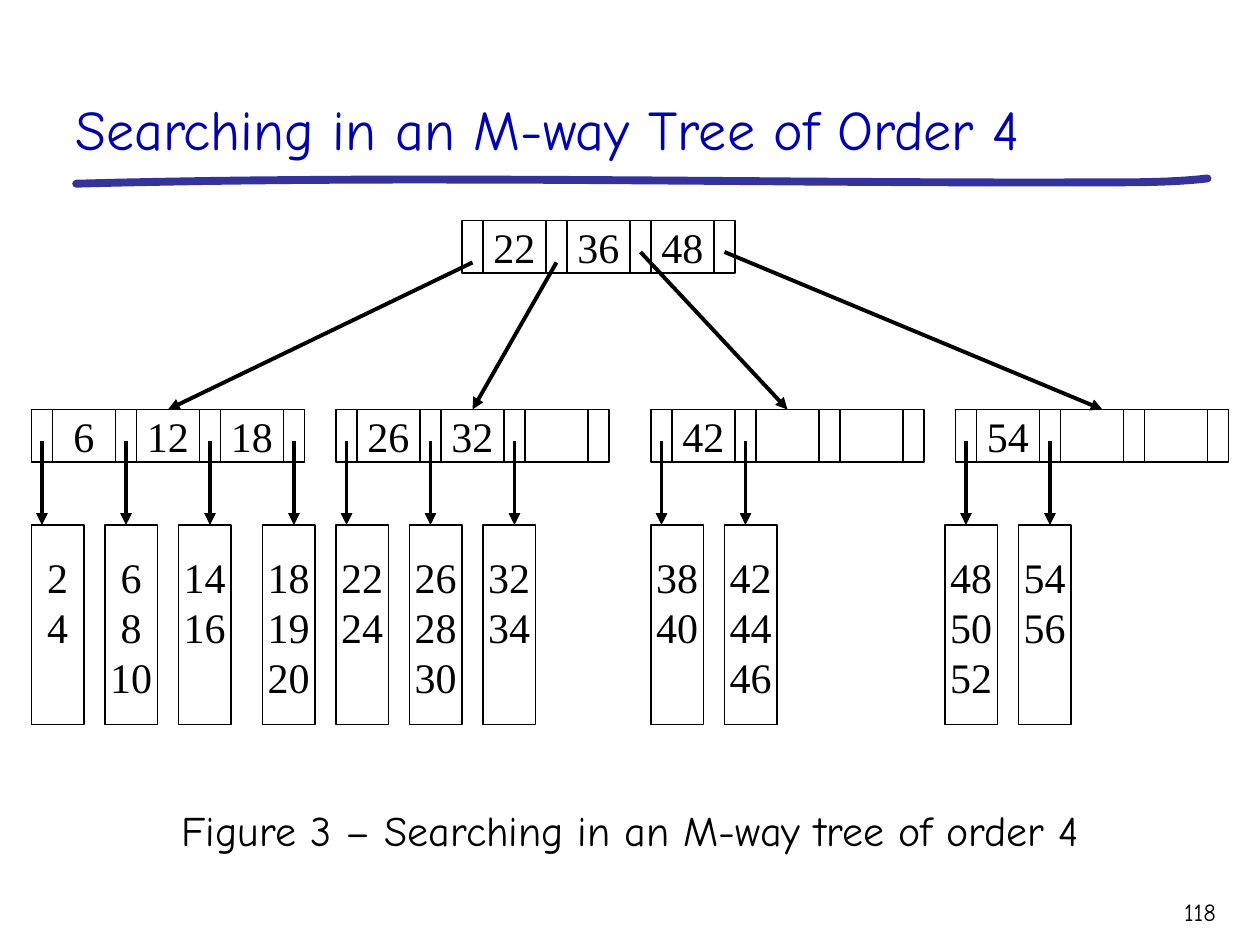
from dataclasses import dataclass

import pptx
import pptx.dml.color
import pptx.enum.shapes
import pptx.enum.text
import pptx.oxml
import pptx.oxml.ns
import pptx.util

PX = 9525  # 96 px to the inch
SLIDE_W, SLIDE_H = 960, 720

KEY_W, POINTER_W, NODE_H = 48, 16, 40
PITCH = KEY_W + POINTER_W
KEYS_PER_NODE = 3
LEAF_W, LEAF_H, LEAF_TOP_INSET = 40, 152, 20
ROOT_LEFT, ROOT_TOP = 352, 168
NODE_TOP, LEAF_TOP = 312, 400

ALIGN = pptx.enum.text.PP_ALIGN
ANCHOR = pptx.enum.text.MSO_ANCHOR


def rgb(code):
    return pptx.dml.color.RGBColor.from_string(code)


@dataclass(frozen=True)
class Theme:
    title_color = rgb("0000AA")
    rule_color = rgb("333399")
    ink = rgb("000000")
    heading_font = "Comic Neue"
    number_font = "Times New Roman"
    title_size = 32
    body_size = 24
    page_size = 14
    box_line = 0.75
    arrow_line = 2.25
    rule_line = 4.5


THEME = Theme()

# Left edge, keys, place where the root's arrow lands, and leaves as (left, values)
CHILDREN = [
    (24, ["6", "12", "18"], 104,
     [(0, "2 4"), (56, "6 8 10"), (112, "14 16"), (176, "18 19 20")]),
    (256, ["26", "32"], 104, [(0, "22 24"), (56, "26 28 30"), (112, "32 34")]),
    (496, ["42"], 104, [(0, "38 40"), (56, "42 44 46")]),
    (728, ["54"], 112, [(-8, "48 50 52"), (48, "54 56")]),
]


def emu(*lengths):
    return [round(length * PX) for length in lengths]


def write(frame, text, font, size, color, align):
    frame.text = text
    for paragraph in frame.paragraphs:
        paragraph.alignment = align
        paragraph.font.size = pptx.util.Pt(size)
        for run in paragraph.runs:
            run.font.name = font
            run.font.size = pptx.util.Pt(size)
            run.font.color.rgb = color


def add_label(slide, box, text, size, color, align, anchor=ANCHOR.TOP):
    frame = slide.shapes.add_textbox(*emu(*box)).text_frame
    frame.word_wrap = True
    frame.vertical_anchor = anchor
    write(frame, text, THEME.heading_font, size, color, align)


def add_box(slide, box, text=""):
    """Outline a cell and return its text frame."""
    cell = slide.shapes.add_shape(
        pptx.enum.shapes.MSO_SHAPE.RECTANGLE, *emu(*box))
    cell.shadow.inherit = False
    cell.fill.background()
    cell.line.color.rgb = THEME.ink
    cell.line.width = pptx.util.Pt(THEME.box_line)
    frame = cell.text_frame
    if text:
        frame.word_wrap = False
        frame.vertical_anchor = ANCHOR.MIDDLE
        write(frame, text, THEME.number_font, THEME.body_size, THEME.ink,
              ALIGN.CENTER)
    return frame


def add_arrow(slide, start, end):
    arrow = slide.shapes.add_connector(
        pptx.enum.shapes.MSO_CONNECTOR.STRAIGHT, *emu(*start, *end))
    arrow.line.color.rgb = THEME.ink
    arrow.line.width = pptx.util.Pt(THEME.arrow_line)
    head = pptx.oxml.parse_xml(
        f'<a:tailEnd {pptx.oxml.ns.nsdecls("a")} type="triangle"/>')
    arrow.line._get_or_add_ln().append(head)
    effects = pptx.oxml.parse_xml(
        f'<a:effectLst {pptx.oxml.ns.nsdecls("a")}/>')
    arrow._element.spPr.append(effects)


def bezier(p0, p1, p2, p3, steps=24):
    """Points along a cubic curve, without its first point."""
    for step in range(1, steps + 1):
        t = step / steps
        u = 1 - t
        yield tuple(
            round(PX * (u**3 * a + 3 * u * u * t * b + 3 * u * t * t * c + t**3 * d))
            for a, b, c, d in zip(p0, p1, p2, p3))


def add_title_rule(slide, left, top):
    """Hand-drawn stroke under the title."""
    def at(x, y):
        return left + x, top + y

    start, joint, end = at(0, 4), at(783, 3), at(862, 0)
    points = [*bezier(start, at(262, -3), at(523, 4), joint),
              *bezier(joint, at(810, 3), at(836, 3), end)]
    builder = slide.shapes.build_freeform(*emu(*start), scale=1.0)
    builder.add_line_segments(points, close=False)
    stroke = builder.convert_to_shape()
    stroke.shadow.inherit = False
    stroke.fill.background()
    stroke.line.color.rgb = THEME.rule_color
    stroke.line.width = pptx.util.Pt(THEME.rule_line)
    outline = stroke.line._get_or_add_ln()
    outline.set("cap", "rnd")
    outline.append(pptx.oxml.parse_xml(
        f'<a:round {pptx.oxml.ns.nsdecls("a")}/>'))


def pointer_center(left, index):
    return left + index * PITCH + POINTER_W // 2


def add_node(slide, left, top, keys):
    """Row of key cells with a pointer cell before, between and after them."""
    for index in range(KEYS_PER_NODE):
        x = left + index * PITCH
        key = keys[index] if index < len(keys) else ""
        add_box(slide, (x + POINTER_W, top, KEY_W, NODE_H), key)
        add_box(slide, (x, top, POINTER_W, NODE_H))
    add_box(slide, (left + KEYS_PER_NODE * PITCH, top, POINTER_W, NODE_H))


def add_leaf(slide, left, top, values):
    frame = add_box(slide, (left, top, LEAF_W, LEAF_H),
                    "\n".join(values.split()))
    frame.vertical_anchor = ANCHOR.TOP
    frame.margin_top = pptx.util.Emu(LEAF_TOP_INSET * PX)


def add_subtree(slide, left, top, keys, leaves):
    add_node(slide, left, top, keys)
    for index, (offset, values) in enumerate(leaves):
        add_leaf(slide, left + offset, LEAF_TOP, values)
        x = pointer_center(left, index)
        add_arrow(slide, (x, top + 24), (x, LEAF_TOP))


def add_tree(slide):
    add_node(slide, ROOT_LEFT, ROOT_TOP, ["22", "36", "48"])
    for index, (left, keys, landing, leaves) in enumerate(CHILDREN):
        add_subtree(slide, left, NODE_TOP, keys, leaves)
        start_y = ROOT_TOP + (32 if index < 2 else 24)
        add_arrow(slide, (pointer_center(ROOT_LEFT, index), start_y),
                  (left + landing, NODE_TOP))


def main():
    deck = pptx.Presentation()
    deck.slide_width, deck.slide_height = emu(SLIDE_W, SLIDE_H)
    slide = deck.slides.add_slide(deck.slide_layouts[6])
    add_title_rule(slide, 58, 136)
    add_label(slide, (48, 16, 888, 112), "Searching in an M-way Tree of Order 4",
              THEME.title_size, THEME.title_color, ALIGN.LEFT, ANCHOR.BOTTOM)
    add_tree(slide)
    add_label(slide, (24, 608, 912, 48),
              "Figure 3 – Searching in an M-way tree of order 4",
              THEME.body_size, THEME.ink, ALIGN.CENTER)
    add_label(slide, (840, 679, 96, 34), "118", THEME.page_size, THEME.ink,
              ALIGN.RIGHT)
    deck.save("out.pptx")


if __name__ == "__main__":
    main()
